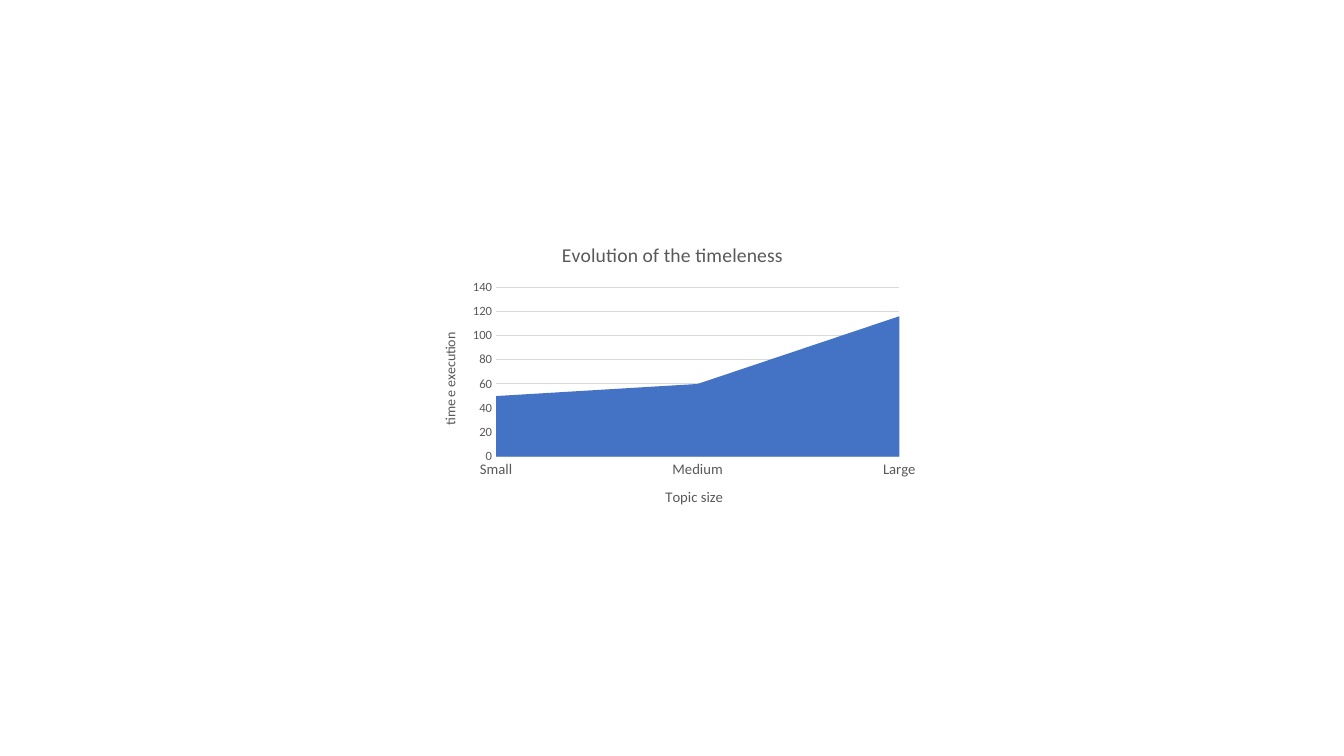
from dataclasses import dataclass

from lxml.etree import SubElement
from pptx import Presentation
from pptx.chart.chart import Chart
from pptx.chart.data import CategoryChartData
from pptx.dml.color import RGBColor
from pptx.enum.chart import XL_CHART_TYPE, XL_TICK_MARK
from pptx.oxml.ns import qn
from pptx.util import Inches, Pt


@dataclass(frozen=True)
class Theme:
    font: str = "Calibri"
    text: RGBColor = RGBColor(0x59, 0x59, 0x59)
    rule: RGBColor = RGBColor(0xD9, 0xD9, 0xD9)
    area: RGBColor = RGBColor(0x44, 0x72, 0xC4)
    rule_width: float = 0.75
    heading_size: float = 14


@dataclass(frozen=True)
class AxisStyle:
    title: str
    title_size: float
    label_size: float


THEME = Theme()
TOPIC_SIZE = AxisStyle("Topic size", 10.5, 10.5)
EXECUTION_TIME = AxisStyle("time e execution", 10, 9)
TIMES = {"Small": 50, "Medium": 60, "Large": 116}
PLOT_LAYOUT = {"x": 0.15, "y": 0.2, "w": 0.8, "h": 0.56}


def style_font(font, size: float) -> None:
    font.name = THEME.font
    font.size = Pt(size)
    font.bold = False
    font.color.rgb = THEME.text


def write_title(owner, text: str, size: float) -> None:
    """Title a chart or an axis."""
    frame = (owner.chart_title if isinstance(owner, Chart) else owner.axis_title).text_frame
    frame.text = text
    style_font(frame.paragraphs[0].runs[0].font, size)


def draw_rule(line) -> None:
    line.color.rgb = THEME.rule
    line.width = Pt(THEME.rule_width)


def style_axis(axis, style: AxisStyle) -> None:
    write_title(axis, style.title, style.title_size)
    style_font(axis.tick_labels.font, style.label_size)
    axis.major_tick_mark = axis.minor_tick_mark = XL_TICK_MARK.NONE


def place_plot(chart: Chart) -> None:
    """Fix the inner plot area and start the series on the value axis."""
    plot_area = chart.element.find(".//" + qn("c:plotArea"))
    for old_layout in plot_area.findall(qn("c:layout")):
        plot_area.remove(old_layout)
    layout = SubElement(plot_area, qn("c:layout"))
    plot_area.insert(0, layout)
    manual = SubElement(layout, qn("c:manualLayout"))
    settings = {"layoutTarget": "inner", "xMode": "edge", "yMode": "edge", **PLOT_LAYOUT}
    for tag, value in settings.items():
        SubElement(manual, qn(f"c:{tag}")).set("val", str(value))
    plot_area.find(".//" + qn("c:crossBetween")).set("val", "midCat")


def add_time_chart(slide) -> None:
    times = CategoryChartData()
    times.categories = list(TIMES)
    times.add_series("Series 1", list(TIMES.values()))
    chart = slide.shapes.add_chart(
        XL_CHART_TYPE.AREA_STACKED,
        Inches(4.17), Inches(2.25), Inches(5), Inches(3), times,
    ).chart
    style_font(chart.font, EXECUTION_TIME.title_size)
    chart.has_legend = False
    write_title(chart, "Evolution of the timeleness", THEME.heading_size)
    chart.chart_title.include_in_layout = False

    style_axis(chart.category_axis, TOPIC_SIZE)
    draw_rule(chart.category_axis.format.line)

    time_axis = chart.value_axis
    style_axis(time_axis, EXECUTION_TIME)
    time_axis.minimum_scale, time_axis.maximum_scale = 0, 140
    time_axis.major_unit = 20
    time_axis.tick_labels.number_format = "General"
    time_axis.tick_labels.number_format_is_linked = False
    time_axis.format.line.fill.background()
    draw_rule(time_axis.major_gridlines.format.line)

    plot = chart.plots[0]
    plot.vary_by_categories = False
    area_fill = plot.series[0].format.fill
    area_fill.solid()
    area_fill.fore_color.rgb = THEME.area
    place_plot(chart)


def main() -> None:
    deck = Presentation()
    deck.slide_width, deck.slide_height = Inches(13.33), Inches(7.5)
    add_time_chart(deck.slides.add_slide(deck.slide_layouts[6]))
    deck.save("out.pptx")


if __name__ == "__main__":
    main()
